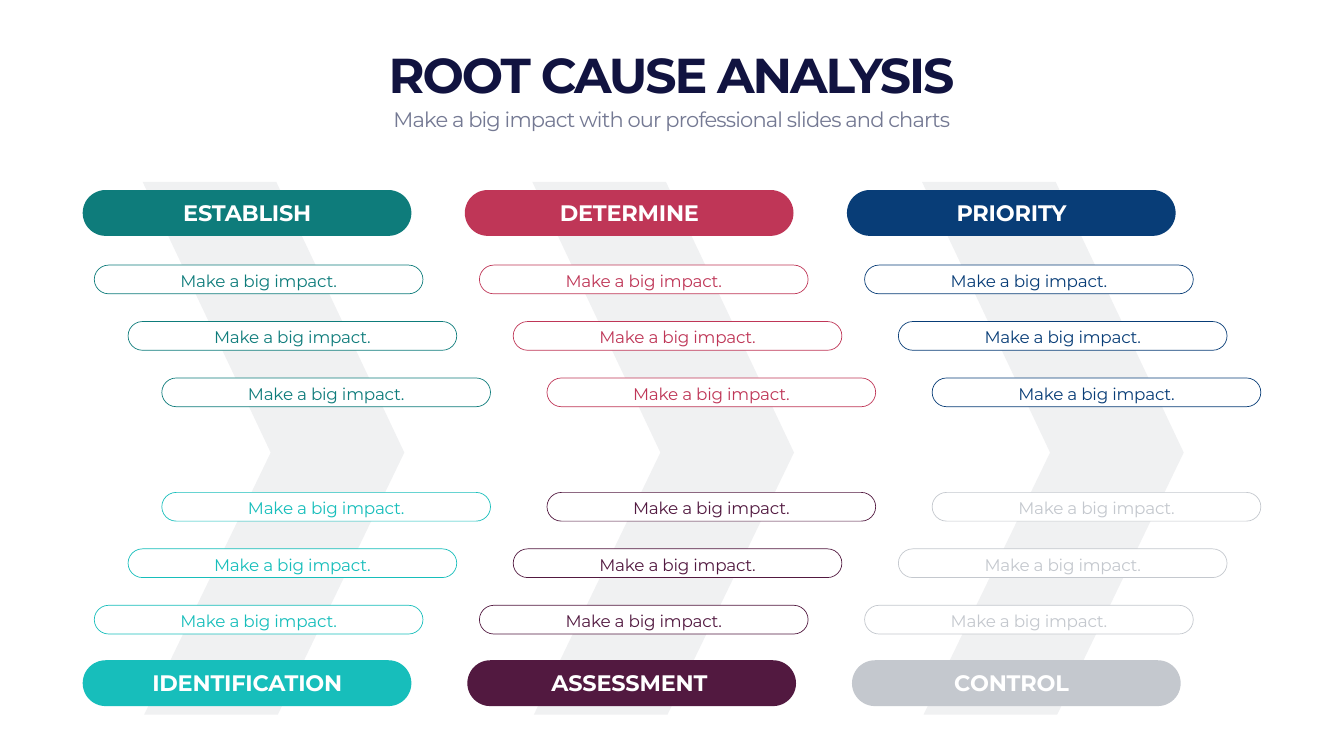
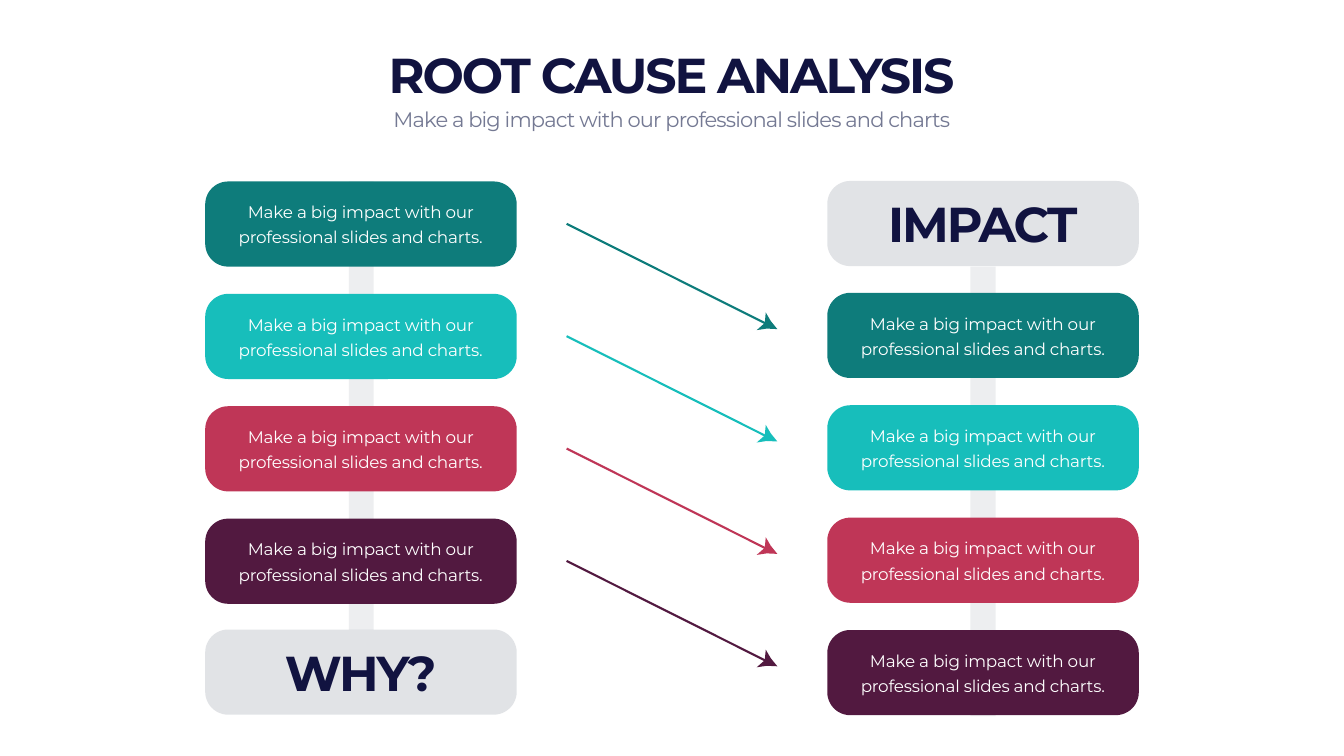
from lxml import etree
from pptx import Presentation
from pptx import util as u
from pptx.dml.color import RGBColor
from pptx.enum import shapes, text
from pptx.oxml.ns import qn

WHITE = RGBColor(0xFF, 0xFF, 0xFF)
NAVY = RGBColor(0x11, 0x13, 0x40)
SLATE = RGBColor(0x74, 0x79, 0x93)
TEAL = RGBColor(0x0E, 0x7C, 0x7B)
TURQUOISE = RGBColor(0x17, 0xBE, 0xBB)
CRIMSON = RGBColor(0xBF, 0x36, 0x57)
PLUM = RGBColor(0x52, 0x19, 0x40)
BLUE = RGBColor(0x08, 0x3D, 0x77)
GREY = RGBColor(0xC4, 0xC8, 0xCE)

FONT = "Montserrat"
# Character spacing is in hundredths of a point.
TITLE = {"font": {"size": u.Pt(70), "bold": True}, "spacing": -290}
SUBTITLE = {"font": {"size": u.Pt(30)}, "spacing": -120}
HEADING = {"font": {"size": u.Pt(32), "bold": True}, "spacing": -30}
BODY = {"font": {"size": u.Pt(24)}, "spacing": -30,
        "paragraph": {"line_spacing": u.Pt(36)}}

TOP, MIDDLE, BOTTOM = (text.MSO_ANCHOR.TOP, text.MSO_ANCHOR.MIDDLE,
                       text.MSO_ANCHOR.BOTTOM)
ROUNDED = shapes.MSO_SHAPE.ROUNDED_RECTANGLE
RECTANGLE = shapes.MSO_SHAPE.RECTANGLE

CHEVRON = [(2.68, 10.57), (5.19, 5.37), (2.65, 0), (0, 0), (2.54, 5.37), (0.03, 10.57)]
ARROWHEAD = [(0.41, 0.33), (0.2, 0.32), (0, 0.35), (0.16, 0.21), (0.18, 0), (0.28, 0.17)]


def set_all(target, values):
    for name, value in values.items():
        setattr(target, name, value)


class Deck:
    def __init__(self):
        self.presentation = Presentation()
        set_all(self.presentation, {"slide_width": u.Inches(26.66),
                                    "slide_height": u.Inches(15)})
        self.slide = None

    def add_slide(self):
        layout = self.presentation.slide_layouts[6]
        self.slide = self.presentation.slides.add_slide(layout)
        self.label("ROOT CAUSE ANALYSIS", (1.66, 0.82, 23.33, 1.28), TITLE, NAVY, BOTTOM)
        self.label("Make a big impact with our professional slides and charts",
                   (1.66, 2.06, 23.33, 0.61), SUBTITLE, SLATE, TOP)

    def paint(self, shape, fill, line=None, opacity=100):
        shape.shadow.inherit = False
        shape.fill.solid()
        shape.fill.fore_color.rgb = fill
        if opacity < 100:
            color = shape._element.spPr.find(qn("a:solidFill"))[0]
            etree.SubElement(color, qn("a:alpha"), val=str(opacity * 1000))
        if line is None:
            shape.line.fill.background()
        else:
            shape.line.color.rgb = line
            shape.line.width = u.Pt(1)

    def box(self, kind, place, fill, radius=None, **style):
        shape = self.slide.shapes.add_shape(kind, *map(u.Inches, place))
        if radius is not None:
            shape.adjustments[0] = radius
        self.paint(shape, fill, **style)

    def outline(self, points, left, top, fill, **style):
        """Draw a closed polygon whose points are relative to left and top."""
        corners = [(u.Inches(left + x), u.Inches(top + y)) for x, y in points]
        builder = self.slide.shapes.build_freeform(*corners[0])
        builder.add_line_segments(corners[1:], close=True)
        self.paint(builder.convert_to_shape(), fill, **style)

    def arrow(self, left, top, color):
        ends = map(u.Inches, (left, top, left + 3.95, top + 1.98))
        line = self.slide.shapes.add_connector(shapes.MSO_CONNECTOR.STRAIGHT, *ends)
        line.line.color.rgb = color
        line.line.width = u.Pt(3)
        etree.SubElement(line._element.spPr, qn("a:effectLst"))
        self.outline(ARROWHEAD, left + 3.77, top + 1.76, color)

    def label(self, words, place, style, color, anchor=MIDDLE):
        frame = self.slide.shapes.add_textbox(*map(u.Inches, place)).text_frame
        set_all(frame, {"word_wrap": True, "vertical_anchor": anchor,
                        "auto_size": text.MSO_AUTO_SIZE.SHAPE_TO_FIT_TEXT})
        paragraph = frame.paragraphs[0]
        set_all(paragraph, {"alignment": text.PP_ALIGN.CENTER,
                            **style.get("paragraph", {})})
        run = paragraph.add_run()
        run.text = words
        set_all(run.font, {"name": FONT, **style["font"]})
        run.font.color.rgb = color
        run._r.get_or_add_rPr().set("spc", str(style["spacing"]))

    def pill(self, left, top, color):
        self.box(ROUNDED, (left, top, 6.52, 0.57), WHITE, radius=0.5, line=color)
        self.label("Make a big impact.", (left + 0.47, top - 0.04, 5.58, 0.56),
                   BODY, color, TOP)

    def banner(self, words, left, top, label_left, color):
        self.box(ROUNDED, (left, top, 6.52, 0.91), color, radius=0.5)
        self.label(words, (label_left, top + 0.13, 5.51, 0.64), HEADING, WHITE)

    def card(self, left, top, color):
        self.box(ROUNDED, (left, top, 6.18, 1.69), color, radius=0.27)
        self.label("Make a big impact with our professional slides and charts.",
                   (left + 0.17, top + 0.26, 5.83, 1.09), BODY, WHITE)

    def end_card(self, words, left, top):
        self.box(ROUNDED, (left, top, 6.18, 1.69), GREY, radius=0.27, opacity=50)
        self.label(words, (left + 0.17, top + 0.2, 5.83, 1.28), TITLE, NAVY)


def build_fishbone(deck):
    columns = [("ESTABLISH", TEAL, "IDENTIFICATION", TURQUOISE),
               ("DETERMINE", CRIMSON, "ASSESSMENT", PLUM),
               ("PRIORITY", BLUE, "CONTROL", GREY)]
    deck.add_slide()
    for column in range(len(columns)):
        deck.outline(CHEVRON, 2.83 + 7.73 * column, 3.61, GREY, opacity=25)
    for column, (upper, upper_color, lower, lower_color) in enumerate(columns):
        for row in range(3):
            left = 1.87 + 7.64 * column + 0.67 * row
            deck.pill(left, 5.26 + 1.12 * row, upper_color)
            deck.pill(left, 12.01 - 1.12 * row, lower_color)
        label_left = 2.15 + 7.58 * column
        deck.banner(upper, 1.64 + 7.58 * column, 3.77, label_left, upper_color)
        deck.banner(lower, 1.64 + 7.63 * column, 13.1, label_left, lower_color)


def build_why_impact(deck):
    why_left, impact_left, step = 4.07, 16.41, 2.23
    deck.add_slide()
    deck.box(RECTANGLE, (6.92, 3.6, 0.49, 8.9), GREY, opacity=30)
    deck.box(RECTANGLE, (19.25, 5.29, 0.5, 8.92), GREY, opacity=30)
    for row, color in enumerate((TEAL, TURQUOISE, CRIMSON, PLUM)):
        deck.arrow(11.24, 4.44 + step * row, color)
        deck.card(why_left, 3.6 + step * row, color)
        deck.card(impact_left, 5.81 + step * row, color)
    deck.end_card("WHY?", why_left, 12.49)
    deck.end_card("IMPACT", impact_left, 3.59)


def main():
    deck = Deck()
    build_fishbone(deck)
    build_why_impact(deck)
    deck.presentation.save("out.pptx")


if __name__ == "__main__":
    main()
